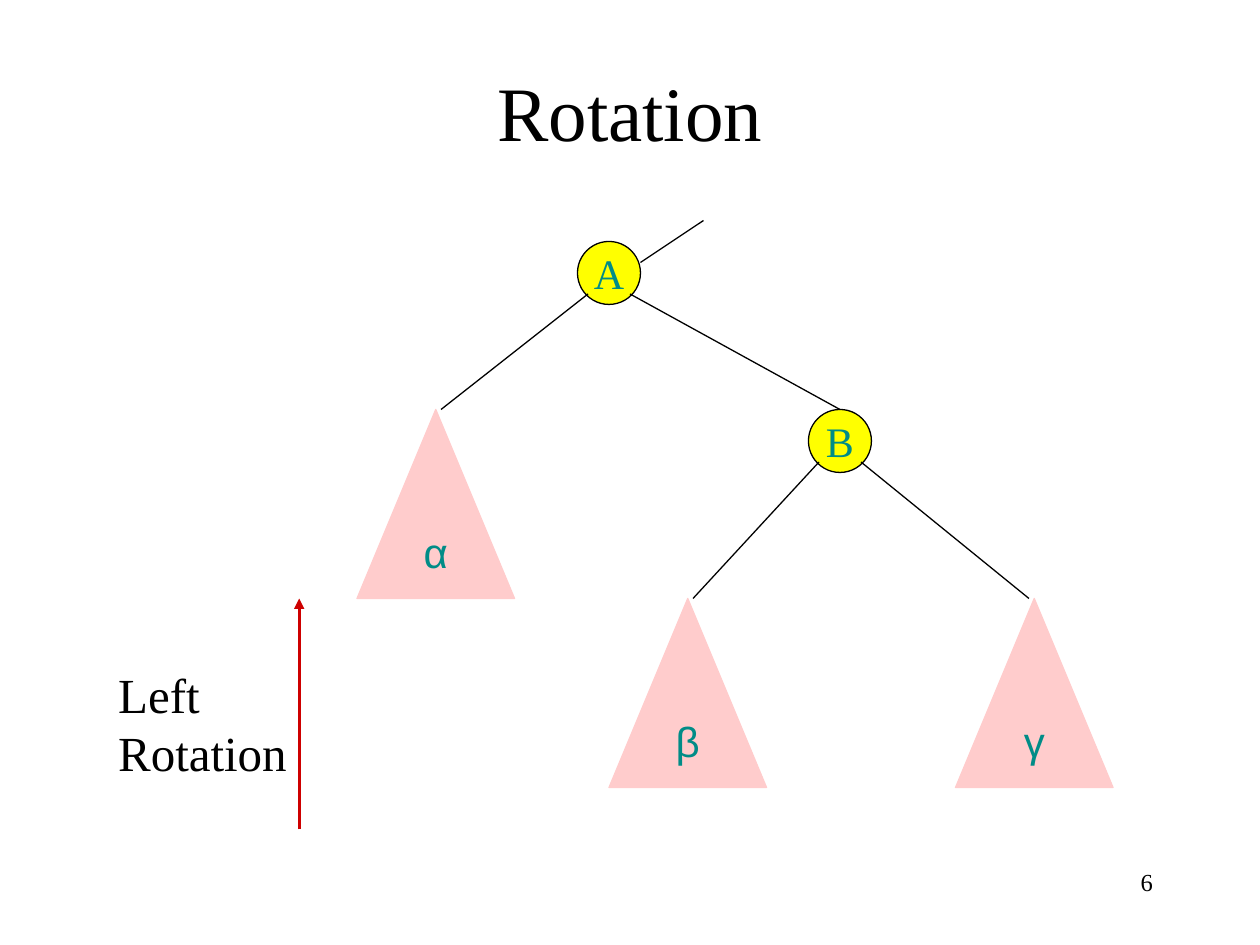
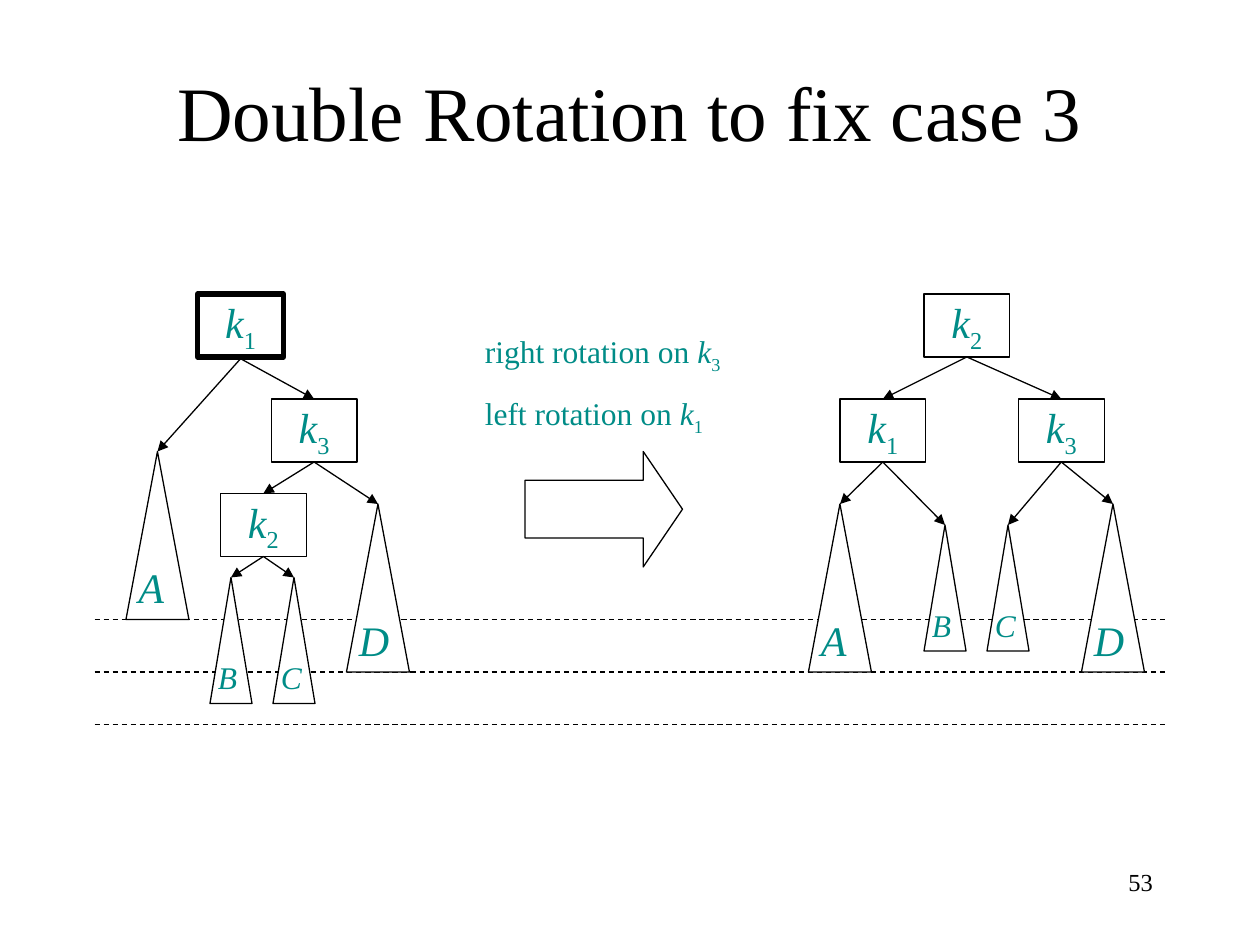
from lxml import etree
from pptx import Presentation
from pptx.dml.color import RGBColor
from pptx.enum.dml import MSO_LINE
from pptx.enum.shapes import MSO_CONNECTOR, MSO_SHAPE
from pptx.enum.text import MSO_ANCHOR, MSO_AUTO_SIZE, PP_ALIGN
from pptx.oxml.ns import qn
from pptx.util import Pt

LEFT, CENTER, RIGHT = PP_ALIGN.LEFT, PP_ALIGN.CENTER, PP_ALIGN.RIGHT
TOP, MIDDLE = MSO_ANCHOR.TOP, MSO_ANCHOR.MIDDLE
FIT, FIXED = MSO_AUTO_SIZE.SHAPE_TO_FIT_TEXT, MSO_AUTO_SIZE.NONE
STRAIGHT, DASH = MSO_CONNECTOR.STRAIGHT, MSO_LINE.DASH
CIRCLE, TRIANGLE = MSO_SHAPE.OVAL, MSO_SHAPE.ISOSCELES_TRIANGLE
RECTANGLE, BLOCK_ARROW = MSO_SHAPE.RECTANGLE, MSO_SHAPE.RIGHT_ARROW

COLOURS = {
    "ink": "000000",
    "label": "008C87",
    "node": "FFFF00",
    "subtree": "FFCCCC",
    "arrow": "CE0000",
    "paper": "FFFFFF",
}
SERIF, SANS = "Times New Roman", "Arial"
PLAIN, ITALIC, SUB = "plain", "italic", "sub"


def dress(box, lines=(), size=24, colour="label", font=SERIF, align=LEFT, anchor=TOP,
          wrap=False, fit=FIXED, before=0, fill=None, line=None, width=0.75):
    """Style a shape; each line of text is a list of (text, style) spans."""
    box.shadow.inherit = False
    if fill:
        box.fill.solid()
        box.fill.fore_color.rgb = RGBColor.from_string(COLOURS[fill])
    else:
        box.fill.background()
    if line:
        box.line.color.rgb = RGBColor.from_string(COLOURS[line])
        box.line.width = Pt(width)
    else:
        box.line.fill.background()
    frame = box.text_frame
    frame.word_wrap = wrap
    frame.auto_size = fit
    frame.vertical_anchor = anchor
    for index, spans in enumerate(lines):
        para = frame.add_paragraph() if index else frame.paragraphs[0]
        para.alignment = align
        para.space_before = Pt(before)
        for text, style in spans:
            span = para.add_run()
            span.text = text
            span.font.name = font
            span.font.size = Pt(size)
            span.font.italic = style == ITALIC
            span.font.color.rgb = RGBColor.from_string(COLOURS[colour])
            if style == SUB:
                span._r.get_or_add_rPr().set("baseline", "-25000")


def join(page, start, end, colour="ink", width=0.75, dashed=False, arrow=False):
    """Draw a straight line, with an optional arrowhead at its end."""
    edge = page.shapes.add_connector(STRAIGHT, *(Pt(value) for value in start + end))
    edge.line.color.rgb = RGBColor.from_string(COLOURS[colour])
    edge.line.width = Pt(width)
    if dashed:
        edge.line.dash_style = DASH
    if arrow:
        etree.SubElement(edge.line._get_or_add_ln(), qn("a:tailEnd"), type="triangle")
    etree.SubElement(edge._element.spPr, qn("a:effectLst"))


deck = Presentation()
deck.slide_width, deck.slide_height = Pt(720), Pt(540)

# Titles and page numbers
pages = []
for heading, number in [("Rotation", "6"), ("Double Rotation to fix case 3", "53")]:
    page = deck.slides.add_slide(deck.slide_layouts[5])
    title = page.shapes.title
    title.left, title.top, title.width, title.height = Pt(54), Pt(18), Pt(612), Pt(90)
    dress(title, [[(heading, PLAIN)]], 44, "ink", align=CENTER, anchor=MIDDLE, wrap=True)
    footer = page.shapes.add_textbox(Pt(516), Pt(492), Pt(150), Pt(36))
    dress(footer, [[(number, PLAIN)]], 14, "ink", align=RIGHT, wrap=True)
    pages.append(page)
single, double = pages

# Single rotation: nodes and subtrees
for shape, left, top, width, height, name, font, fill, line in [
    (CIRCLE, 330, 138, 36, 36, "A", SERIF, "node", "ink"),
    (CIRCLE, 462, 234, 36, 36, "B", SERIF, "node", "ink"),
    (TRIANGLE, 204, 234, 90, 108, "α", SANS, "subtree", "subtree"),
    (TRIANGLE, 348, 342, 90, 108, "β", SANS, "subtree", "subtree"),
    (TRIANGLE, 546, 342, 90, 108, "γ", SANS, "subtree", "subtree"),
]:
    box = single.shapes.add_shape(shape, Pt(left), Pt(top), Pt(width), Pt(height))
    dress(box, [[(name, PLAIN)]], font=font, align=CENTER, anchor=MIDDLE,
          fill=fill, line=line)

# Single rotation: edges
for start, end in [
    ((366, 150), (402, 126)),
    ((336, 168), (252, 234)),
    ((360, 168), (480, 234)),
    ((468, 264), (396, 342)),
    ((492, 264), (588, 342)),
]:
    join(single, start, end)

# Single rotation: direction
join(single, (171, 474), (171, 342), "arrow", 1.5, arrow=True)
caption = single.shapes.add_textbox(Pt(60.5), Pt(376), Pt(111), Pt(75))
dress(caption, [[("Left", PLAIN)], [("Rotation", PLAIN)]], 28, "ink", fit=FIT)

# Double rotation: level lines
for level in (354, 384, 414):
    join(double, (54, level), (666, level), dashed=True)

# Double rotation: trees before and after
# keys: name -> (left, top, border); subtrees: name -> apex
KEY_WIDTH, KEY_HEIGHT = 49, 36
# subtree: width, height, text size, label shift, label width, label height
SUBTREES = {
    "A": (36, 96, 24, 18, 29, 36),
    "B": (24, 72, 18, 14.6, 25, 29),
    "C": (24, 72, 18, 14.6, 26, 29),
    "D": (36, 96, 24, 18, 32, 36),
}
before = (
    {"k1": (113, 168, 3), "k3": (155, 228, 0.75), "k2": (126, 282, 0.75)},
    {"A": (90, 258), "B": (132, 330), "C": (168, 330), "D": (216, 288)},
    ["k1 A", "k1 k3", "k3 k2", "k3 D", "k2 B", "k2 C"],
)
after = (
    {"k2": (528, 168, 0.75), "k1": (480, 228, 0.75), "k3": (582, 228, 0.75)},
    {"A": (480, 288), "B": (540, 300), "C": (576, 300), "D": (636, 288)},
    ["k2 k1", "k2 k3", "k1 A", "k1 B", "k3 C", "k3 D"],
)
for keys, apexes, edges in (before, after):
    heads, feet = dict(apexes), {}
    for name, (left, top, border) in keys.items():
        box = double.shapes.add_shape(RECTANGLE, Pt(left), Pt(top),
                                      Pt(KEY_WIDTH), Pt(KEY_HEIGHT))
        dress(box, [[(name[0], ITALIC), (name[1], SUB)]], align=CENTER,
              anchor=MIDDLE, line="ink", width=border)
        middle = left + KEY_WIDTH / 2
        heads[name] = (middle, top)
        feet[name] = (middle, top + KEY_HEIGHT + border // 2)
    for name, (x, y) in apexes.items():
        width, height, size, shift, label_width, label_height = SUBTREES[name]
        base = y + height
        outline = double.shapes.build_freeform(Pt(x - width / 2), Pt(base))
        outline.add_line_segments([(Pt(x + width / 2), Pt(base)), (Pt(x), Pt(y))])
        dress(outline.convert_to_shape(), fill="paper", line="ink")
        label = double.shapes.add_textbox(Pt(x - shift), Pt(base - label_height - 0.5),
                                          Pt(label_width), Pt(label_height))
        dress(label, [[(name, ITALIC)]], size, fit=FIT)
    for edge in edges:
        parent, child = edge.split()
        join(double, feet[parent], heads[child], arrow=True)

# Double rotation: the two steps
block = double.shapes.add_shape(BLOCK_ARROW, Pt(300), Pt(258), Pt(90), Pt(66))
block.adjustments[0], block.adjustments[1] = 0.5, 0.34
dress(block, fill="paper", line="ink")
steps = double.shapes.add_textbox(Pt(270), Pt(186), Pt(174), Pt(68))
dress(steps, [
    [(f"{side} rotation on ", PLAIN), ("k", ITALIC), (index, SUB)]
    for side, index in (("right", "3"), ("left", "1"))
], 18, wrap=True, fit=FIT, before=11.2)

deck.save("out.pptx")
